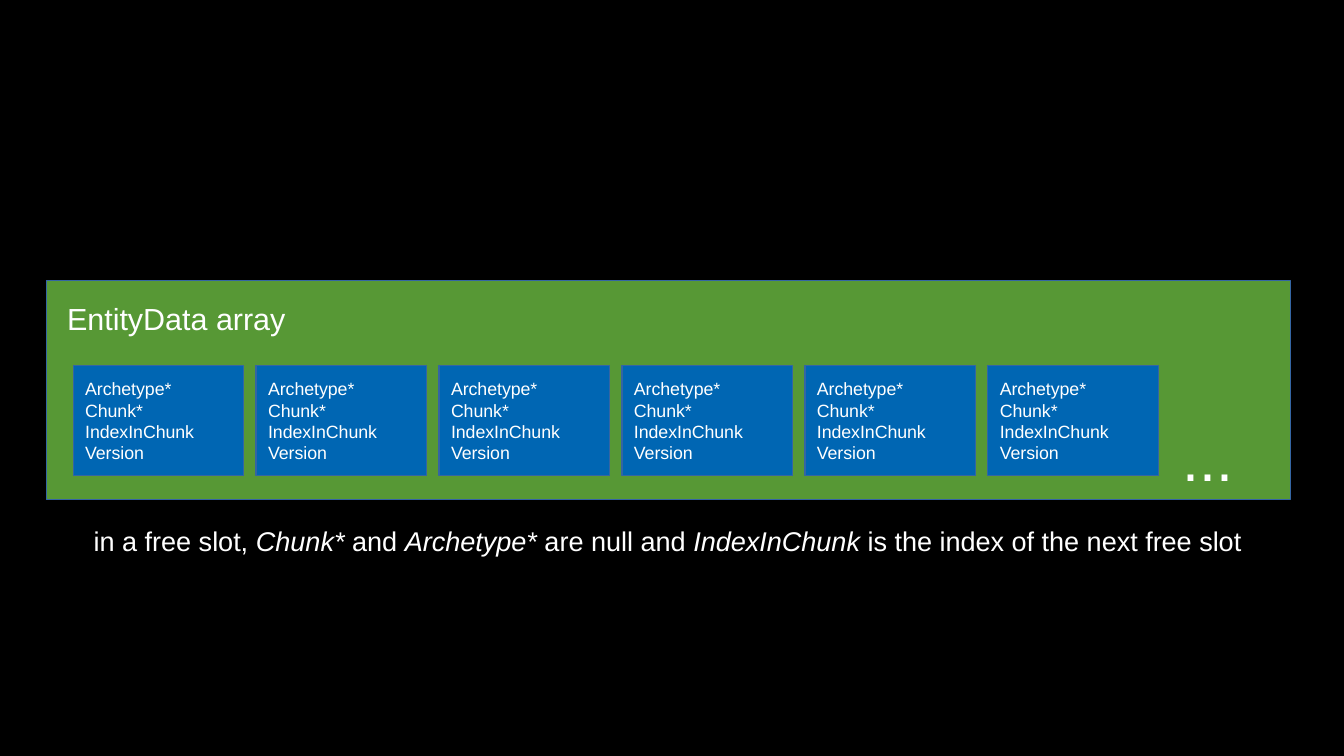
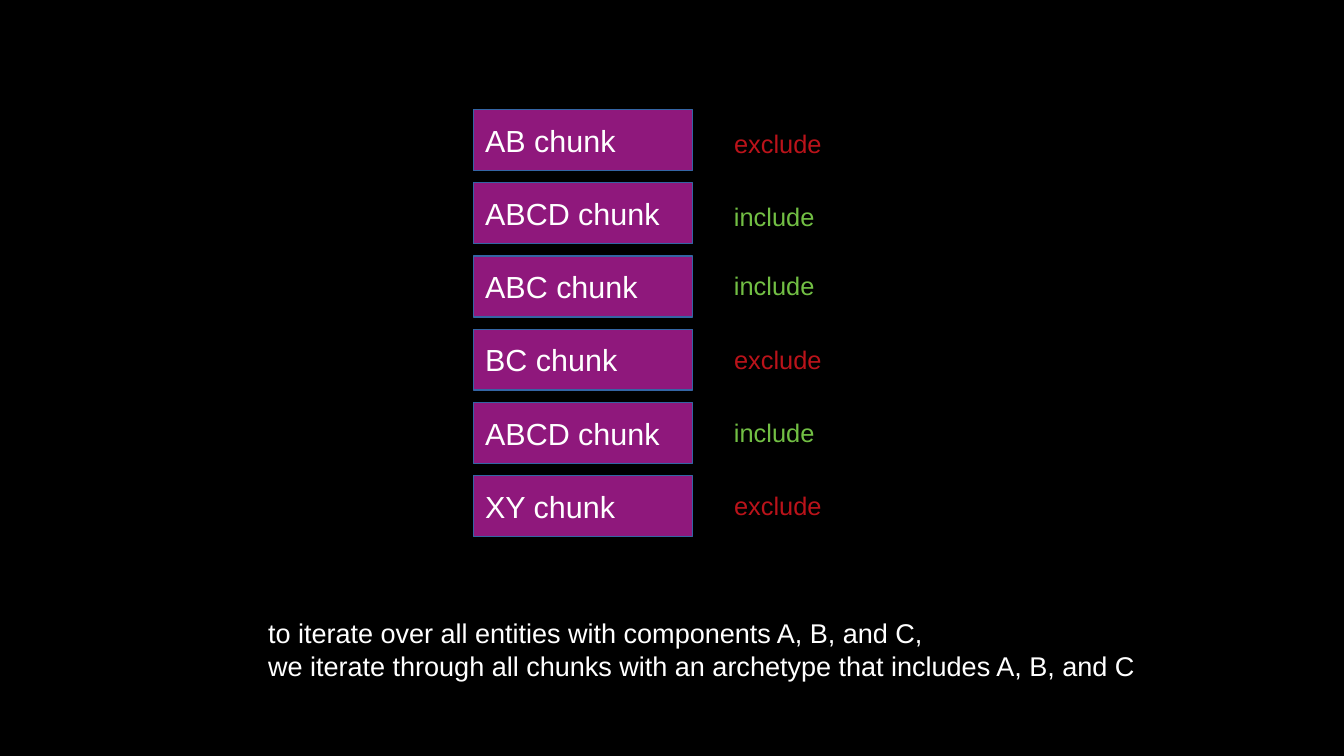
from pptx import Presentation
from pptx.dml.color import RGBColor
from pptx.enum.shapes import MSO_SHAPE
from pptx.enum.text import MSO_ANCHOR, PP_ALIGN
from pptx.util import Inches, Pt

# Shared style
WIDTH, HEIGHT = 11.02, 6.2
FONT = "Arial"
BLACK, WHITE, OUTLINE = "000000", "FFFFFF", "3465A4"
ARRAY_GREEN, SLOT_BLUE, CHUNK_PURPLE = "579835", "0066B3", "8F187C"
VERDICT_COLORS = {"include": "72BF44", "exclude": "BA131A"}
VERDICT_WIDTHS = {"include": 0.86, "exclude": 0.92}

# Content: a paragraph is a list of (text, italic) runs or a plain string
ARRAY_TITLE = "EntityData array"
SLOT_FIELDS = ["Archetype*", "Chunk*", "IndexInChunk", "Version"]
SLOT_COUNT = 6
FREE_SLOT_NOTE = [
    ("in a free slot, ", False), ("Chunk*", True), (" and ", False),
    ("Archetype*", True), (" are null and ", False),
    ("IndexInChunk", True), (" is the index of the next free slot", False),
]
# Chunk name, verdict, drop of the verdict below the top of its row
CHUNKS = [
    ("AB chunk", "exclude", 0.1),
    ("ABCD chunk", "include", 0.1),
    ("ABC chunk", "include", 0.07),
    ("BC chunk", "exclude", 0.07),
    ("ABCD chunk", "include", 0.07),
    ("XY chunk", "exclude", 0.07),
]
ITERATION_NOTE = [
    "to iterate over all entities with components A, B, and C,",
    "we iterate through all chunks with an archetype that includes A, B, and C",
]


def rgb(value):
    return RGBColor.from_string(value)


def write_text(shape, paragraphs, size, color=WHITE, anchor=MSO_ANCHOR.TOP,
               wrap=True, left=0.1, top=0.05):
    frame = shape.text_frame
    frame.word_wrap = wrap
    frame.vertical_anchor = anchor
    frame.margin_left, frame.margin_top = Inches(left), Inches(top)
    frame.margin_right, frame.margin_bottom = Inches(0.1), Inches(0.05)
    for index, content in enumerate(paragraphs):
        paragraph = frame.add_paragraph() if index else frame.paragraphs[0]
        paragraph.alignment = PP_ALIGN.LEFT
        runs = [(content, False)] if isinstance(content, str) else content
        for text, italic in runs:
            run = paragraph.add_run()
            run.text = text
            run.font.name, run.font.size = FONT, Pt(size)
            run.font.italic = italic
            run.font.color.rgb = rgb(color)


def add_box(slide, bounds, fill, paragraphs, size, **text_format):
    box = slide.shapes.add_shape(MSO_SHAPE.RECTANGLE, *map(Inches, bounds))
    box.shadow.inherit = False
    box.fill.solid()
    box.fill.fore_color.rgb = rgb(fill)
    box.line.color.rgb = rgb(OUTLINE)
    box.line.width = Pt(0)
    write_text(box, paragraphs, size, **text_format)


def add_label(slide, bounds, paragraphs, size, **text_format):
    label = slide.shapes.add_textbox(*map(Inches, bounds))
    write_text(label, paragraphs, size, **text_format)


def add_black_slide(presentation):
    slide = presentation.slides.add_slide(presentation.slide_layouts[6])
    slide.background.fill.solid()
    slide.background.fill.fore_color.rgb = rgb(BLACK)
    return slide


def build_array_slide(presentation):
    slide = add_black_slide(presentation)
    add_box(slide, (0.38, 2.3, 10.2, 1.8), ARRAY_GREEN, [ARRAY_TITLE], 18,
            left=0.17, top=0.16)
    # Row of equal slots
    left, width, gap = 0.6, 1.4, 0.1
    for column in range(SLOT_COUNT):
        add_box(slide, (left + column * (width + gap), 3, width, 0.9),
                SLOT_BLUE, SLOT_FIELDS, 10.5, anchor=MSO_ANCHOR.MIDDLE)
    add_label(slide, (9.6, 3.4, 0.8, 0.68), ["..."], 36)
    add_label(slide, (0.67, 4.25, 9.63, 0.35), [FREE_SLOT_NOTE], 16, wrap=False)


def build_query_slide(presentation):
    slide = add_black_slide(presentation)
    # Stack of chunks, each with its verdict to the right
    top, height, gap = 0.9, 0.5, 0.1
    for row, (name, verdict, drop) in enumerate(CHUNKS):
        row_top = top + row * (height + gap)
        add_box(slide, (3.88, row_top, 1.8, height), CHUNK_PURPLE, [name], 18,
                anchor=MSO_ANCHOR.MIDDLE)
        add_label(slide, (5.92, row_top + drop, VERDICT_WIDTHS[verdict], 0.33),
                  [verdict], 15, color=VERDICT_COLORS[verdict], wrap=False)
    add_label(slide, (2.1, 5.01, 7.32, 0.59), ITERATION_NOTE, 16, wrap=False)


def main():
    presentation = Presentation()
    presentation.slide_width = Inches(WIDTH)
    presentation.slide_height = Inches(HEIGHT)
    build_array_slide(presentation)
    build_query_slide(presentation)
    presentation.save("out.pptx")


if __name__ == "__main__":
    main()
